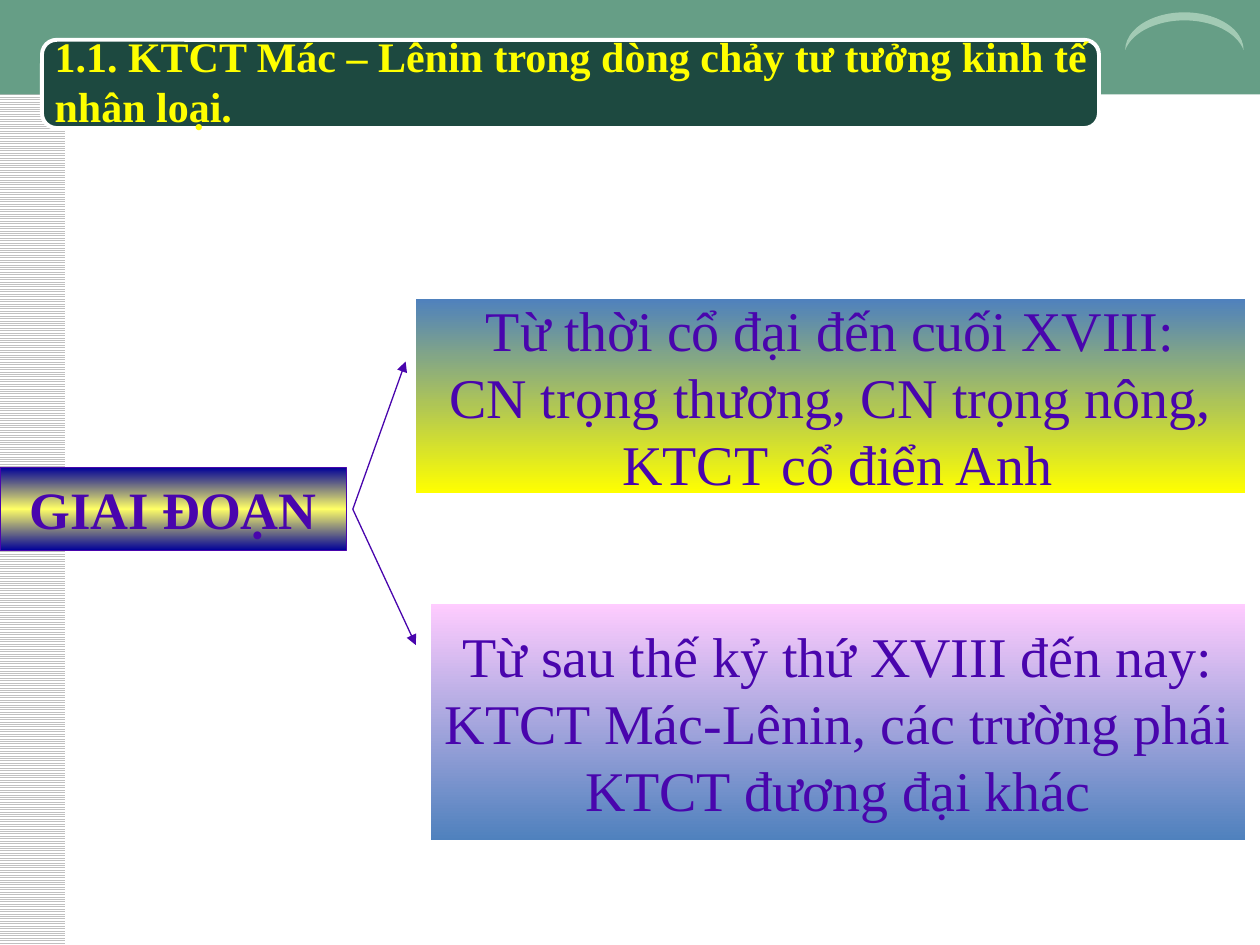
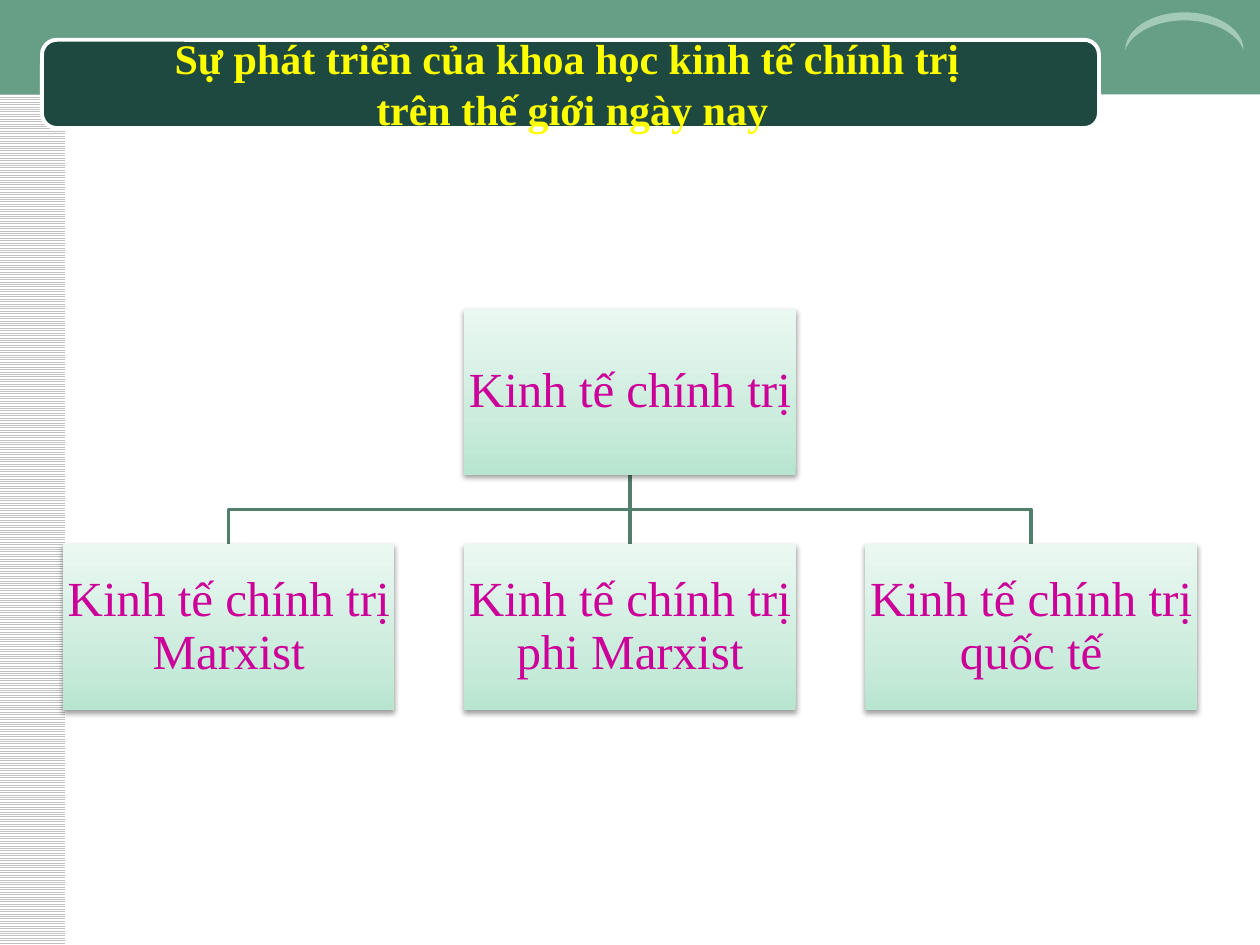
from dataclasses import dataclass

from lxml import etree
from pptx import Presentation
from pptx.dml.color import RGBColor
from pptx.enum import dml, shapes, text
from pptx.oxml.ns import qn
from pptx.util import Pt


@dataclass(frozen=True)
class Theme:
    font: str = "Times New Roman"
    title_size: int = 24
    panel_size: int = 32
    stage_size: int = 30
    node_size: int = 28
    white: str = "FFFFFF"
    stripe: str = "C0C0C0"
    band: str = "669E86"
    plate: str = "1D4940"
    arc: str = "A2CAB4"
    title: str = "FFFF00"
    violet: str = "4905AD"
    magenta: str = "CC0099"
    branch: str = "527F6B"
    early: tuple = ((0, "4F81BD"), (100, "FFFF00"))
    late: tuple = ((0, "FFCCFF"), (100, "4F81BD"))
    stage: tuple = ((0, "000099"), (50, "FFFF66"), (100, "000099"))
    node: tuple = ((0, "B7E5CF"), (35, "CCECDD"), (100, "EBF8F2"))


THEME = Theme()
SHAPE = shapes.MSO_SHAPE


def rgb(value):
    return RGBColor.from_string(value)


def pts(values):
    return [Pt(value) for value in values]


def set_line(item, color, width):
    item.line.color.rgb = rgb(color)
    item.line.width = Pt(width)


def add_block(slide, box, kind=SHAPE.RECTANGLE, color=None):
    block = slide.shapes.add_shape(kind, *pts(box))
    block.shadow.inherit = False
    block.line.fill.background()
    if color:
        block.fill.solid()
        block.fill.fore_color.rgb = rgb(color)
    return block


def fill_gradient(block, stops, angle):
    """Fill with (percent, colour) stops; the angle runs clockwise."""
    block.fill.gradient()
    block.fill.gradient_angle = 360 - angle
    stop_list = block._element.spPr.find(".//" + qn("a:gsLst"))
    for old_stop in list(stop_list):
        stop_list.remove(old_stop)
    for percent, color in stops:
        stop = etree.SubElement(stop_list, qn("a:gs"), pos=str(percent * 1000))
        etree.SubElement(stop, qn("a:srgbClr"), val=color)


def add_soft_shadow(block):
    effects = block._element.spPr.find(qn("a:effectLst"))
    shadow = etree.SubElement(effects, qn("a:outerShdw"), blurRad=str(Pt(3.1)),
                              dist=str(Pt(1.6)), dir="5400000", rotWithShape="0")
    black = etree.SubElement(shadow, qn("a:srgbClr"), val="000000")
    etree.SubElement(black, qn("a:alpha"), val="38000")


def write(block, lines, size, color, align=text.PP_ALIGN.CENTER, bold=False,
          spacing=None):
    frame = block.text_frame
    frame.text = "\n".join(lines)
    frame.auto_size = text.MSO_AUTO_SIZE.NONE
    frame.vertical_anchor = text.MSO_ANCHOR.MIDDLE
    for paragraph in frame.paragraphs:
        paragraph.alignment = align
        paragraph.line_spacing = spacing
        font = paragraph.font
        font.name, font.size, font.bold = THEME.font, Pt(size), bold
        font.color.rgb = rgb(color)


def add_link(slide, start, end, color, width):
    link = slide.shapes.add_connector(
        shapes.MSO_CONNECTOR.STRAIGHT, *pts(start + end))
    set_line(link, color, width)
    etree.SubElement(link._element.spPr, qn("a:effectLst"))
    return link


def dress_layout(slide, layout):
    """Draw the shared background, then hand it over to the layout."""
    margin = add_block(slide, (-1, 0, 38.4, 540))
    margin.fill.patterned()
    margin.fill.pattern = dml.MSO_PATTERN.LIGHT_HORIZONTAL
    margin.fill.fore_color.rgb = rgb(THEME.stripe)
    margin.fill.back_color.rgb = rgb(THEME.white)
    band = add_block(slide, (0, 0, 720, 54), color=THEME.band)
    plate = add_block(slide, (24, 22.8, 604, 50.4), SHAPE.ROUNDED_RECTANGLE, THEME.plate)
    plate.adjustments[0] = 0.167
    set_line(plate, THEME.white, 2.25)
    arc = add_block(slide, (666, -16, 21.6, 67.7), SHAPE.MOON, THEME.arc)
    arc.adjustments[0] = 0.212
    arc.rotation = 90
    for part in (margin, band, plate, arc):
        layout.shapes._spTree.append(part._element)


def set_title(slide, box, words, align):
    title = slide.shapes.title
    title.left, title.top, title.width, title.height = pts(box)
    write(title, [words], THEME.title_size, THEME.title, align, bold=True)


def add_panel(slide, box, stops, lines, size, bold=False):
    panel = add_block(slide, box)
    fill_gradient(panel, stops, 90)
    write(panel, lines, size, THEME.violet, bold=bold)
    panel.text_frame.word_wrap = False
    return panel


def draw_periods(slide, left, top):
    """Stage label on the left, with an arrow to each of two periods."""
    add_panel(slide, (left + 237.6, top, 473.8, 111), THEME.early,
              ["Từ thời cổ đại đến cuối XVIII:",
               "CN trọng thương, CN trọng nông,",
               " KTCT cổ điển Anh"], THEME.panel_size)
    add_panel(slide, (left + 246.3, top + 174, 465.1, 135.2), THEME.late,
              ["Từ sau thế kỷ thứ XVIII đến nay:",
               "KTCT Mác-Lênin, các trường phái",
               "KTCT đương đại khác"], THEME.panel_size)
    stage = add_panel(slide, (left, top + 96, 198, 47.6), THEME.stage,
                      ["GIAI ĐOẠN"], THEME.stage_size, bold=True)
    set_line(stage, THEME.violet, 0.75)
    fork = (left + 201.6, top + 120)
    for tip in ((left + 237.6, top + 197.6), (left + 231.8, top + 35.6)):
        arrow = add_link(slide, fork, tip, THEME.violet, 0.75)
        etree.SubElement(arrow.line._get_or_add_ln(), qn("a:tailEnd"),
                         type="triangle")


def add_node(slide, box, words):
    node = add_block(slide, box)
    fill_gradient(node, THEME.node, 270)
    add_soft_shadow(node)
    write(node, [words], THEME.node_size, THEME.magenta, spacing=0.9)
    frame = node.text_frame
    frame.word_wrap = True
    frame.margin_left = frame.margin_right = Pt(1.4)
    frame.margin_top = frame.margin_bottom = Pt(1.4)
    return node


def add_branch(slide, start, end):
    """Open line that goes down, across and down again."""
    bend = (start[1] + end[1]) / 2
    outline = slide.shapes.build_freeform(*pts(start))
    corners = ((start[0], bend), (end[0], bend), end)
    outline.add_line_segments([pts(corner) for corner in corners], close=False)
    branch = outline.convert_to_shape()
    branch.shadow.inherit = False
    branch.fill.background()
    set_line(branch, THEME.branch, 2)


def draw_tree(slide, left, top, width, root_words, child_words):
    count = len(child_words)
    gap_share = 0.21
    node_width = width / (count + gap_share * (count - 1))
    node_height = node_width / 2
    gap = node_width * gap_share
    child_top = top + node_height + gap
    root_left = left + (width - node_width) / 2
    fork = (left + width / 2, top + node_height)
    lefts = [left + i * (node_width + gap) for i in range(count)]
    middle = count // 2
    for i, child_left in enumerate(lefts):
        if i != middle:
            add_branch(slide, fork, (child_left + node_width / 2, child_top))
    trunk = add_link(slide, fork, (fork[0], child_top), THEME.branch, 2)
    root = add_node(slide, (root_left, top, node_width, node_height), root_words)
    children = [add_node(slide, (child_left, child_top, node_width, node_height), words)
                for child_left, words in zip(lefts, child_words)]
    trunk.begin_connect(root, 2)
    trunk.end_connect(children[middle], 0)


def main():
    deck = Presentation()
    deck.slide_width, deck.slide_height = Pt(720), Pt(540)
    layout = deck.slide_layouts.get_by_name("Title Only")

    periods = deck.slides.add_slide(layout)
    dress_layout(periods, layout)
    set_title(periods, (24, 23.8, 606, 44.6),
              "1.1. KTCT Mác – Lênin trong dòng chảy tư tưởng kinh tế nhân loại.",
              text.PP_ALIGN.LEFT)
    draw_periods(periods, 0, 171)

    branches = deck.slides.add_slide(layout)
    set_title(branches, (36, 25.2, 582, 44.6),
              "Sự phát triển của khoa học kinh tế chính trị \vtrên thế giới ngày nay",
              text.PP_ALIGN.CENTER)
    draw_tree(branches, 36, 176.6, 648, "Kinh tế chính trị",
              ["Kinh tế chính trị Marxist", "Kinh tế chính trị phi Marxist",
               "Kinh tế chính trị quốc tế"])
    deck.save("out.pptx")


if __name__ == "__main__":
    main()
